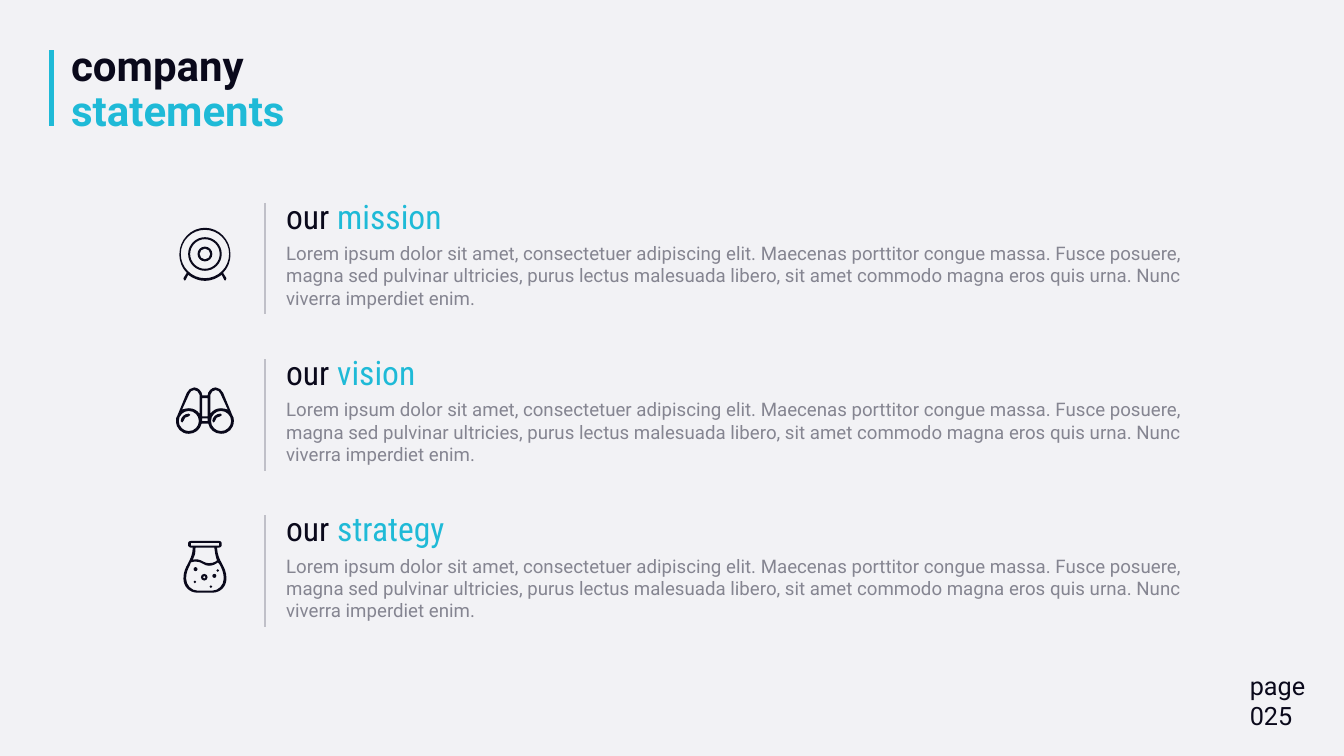
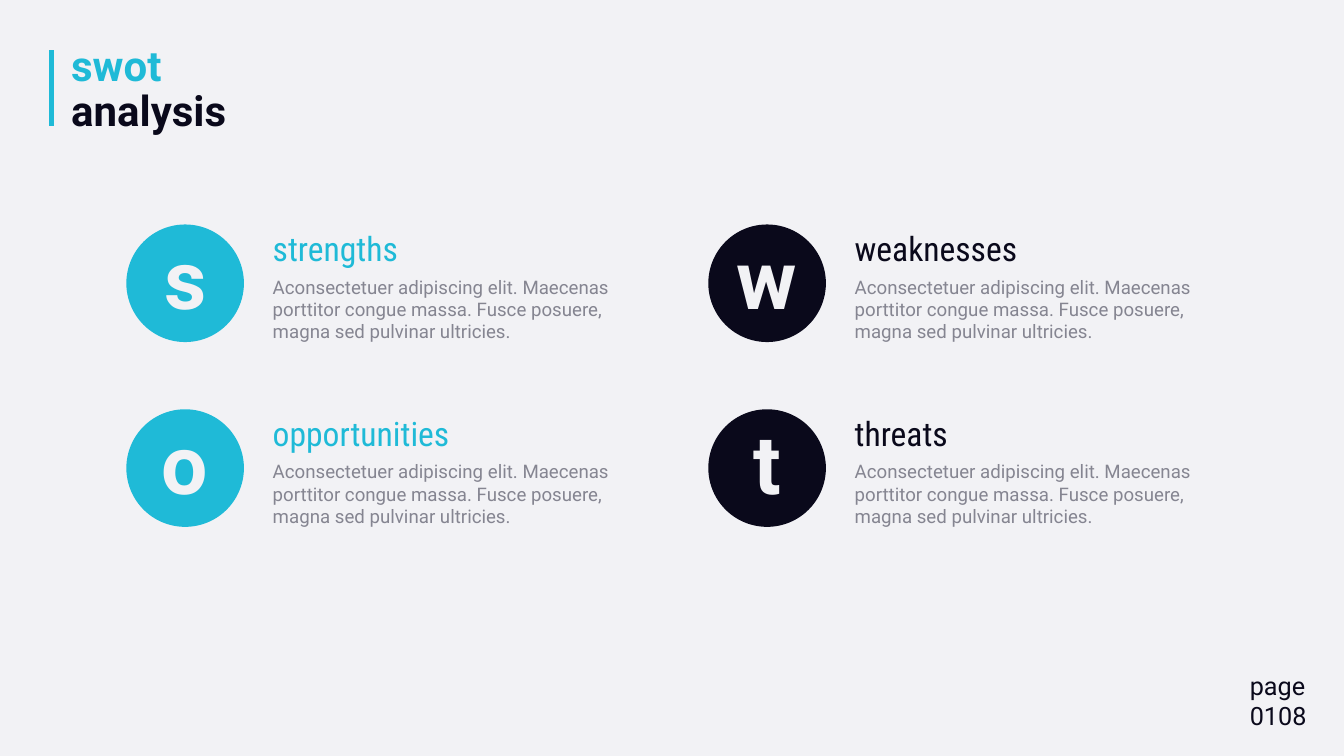
from dataclasses import dataclass

from lxml.etree import SubElement
from pptx import Presentation
from pptx.dml.color import RGBColor
from pptx.enum.shapes import MSO_CONNECTOR as Link, MSO_SHAPE as Form
from pptx.enum.text import MSO_AUTO_SIZE as Fit, PP_ALIGN as Align
from pptx.oxml.ns import qn
from pptx.util import Inches, Pt

PAPER, INK, CYAN = "F2F2F5", "0A091B", "1FBAD7"
GREY, RULE = "858591", "C0C0C8"
SANS, SLIM = "Roboto", "Roboto Condensed"
TOP, PITCH = 2.86, (7.51 - 2.86) / 2
DISC, GLYPH = 1.75, 1.5

Span = tuple[str, str]
Point = tuple[float, float]
Path = list[Point]
Box = tuple[float, float, float, float]


@dataclass(frozen=True)
class Goal:
    name: str
    icon: list[Path]


@dataclass(frozen=True)
class Part:
    name: str
    color: str
    col: int
    row: int


def trace(first: Point, *steps: tuple) -> Path:
    """List curve points: a pair is a straight step, six numbers a curve."""
    path = [first]
    for step in steps:
        path += [step] * 3 if len(step) == 2 else [
            step[:2], step[2:4], step[4:]]
    return path


def flip(path: Path) -> Path:
    """Mirror a path left to right and reverse its direction."""
    return [(-x, y) for x, y in reversed(path)]


def fold(half: Path) -> Path:
    """Complete a left half, drawn from middle to middle, with its mirror."""
    return half + flip(half)[1:]


def shift(path: Path, dx: float) -> Path:
    return [(x + dx, y) for x, y in path]


def ring(x: float, y: float, r: float) -> Path:
    k = 0.55 * r
    return trace((x, y - r), (x - k, y - r, x - r, y - k, x - r, y),
                 (x - r, y + k, x - k, y + r, x, y + r),
                 (x + k, y + r, x + r, y + k, x + r, y),
                 (x + r, y - k, x + k, y - r, x, y - r))


def slot(x: float, top: float, end: float) -> Path:
    return trace((-x, top), (x, top), (x, end), (-x, end), (-x, top))


STAND = trace((0, -0.39), (-0.21, -0.39, -0.38, -0.21, -0.38, 0),
              (-0.38, 0.12, -0.34, 0.21, -0.27, 0.28), (-0.32, 0.36),
              (-0.32, 0.39, -0.3, 0.41, -0.29, 0.39), (-0.25, 0.31),
              (-0.18, 0.36, -0.1, 0.4, 0, 0.4))
TARGET = [fold(STAND), *(ring(0, 0, r) for r in (0.36, 0.25, 0.22, 0.11, 0.08))]

BODY = trace((0, -0.22), (-0.04, -0.22), (-0.04, -0.28, -0.1, -0.34, -0.16, -0.34),
             (-0.21, -0.34, -0.25, -0.3, -0.27, -0.26), (-0.41, 0.08),
             (-0.43, 0.1, -0.43, 0.13, -0.43, 0.16),
             (-0.43, 0.27, -0.35, 0.35, -0.24, 0.35),
             (-0.15, 0.35, -0.07, 0.29, -0.05, 0.2), (0, 0.2))
TUBE = trace((-0.08, 0.05), (-0.12, 0, -0.17, -0.03, -0.24, -0.03),
             (-0.27, -0.03, -0.31, -0.02, -0.34, -0.01), (-0.23, -0.25),
             (-0.22, -0.28, -0.19, -0.3, -0.16, -0.3),
             (-0.12, -0.3, -0.09, -0.27, -0.08, -0.23), (-0.08, 0.05))
GLINT = trace((-0.24, 0.05), (-0.3, 0.05, -0.36, 0.1, -0.36, 0.16),
              (-0.36, 0.19, -0.32, 0.19, -0.32, 0.16),
              (-0.32, 0.12, -0.28, 0.09, -0.24, 0.09),
              (-0.21, 0.09, -0.21, 0.05, -0.24, 0.05))
SCOPE = [fold(BODY), TUBE, flip(TUBE), GLINT, shift(GLINT, 0.47),
         ring(-0.24, 0.16, 0.15), ring(0.24, 0.16, 0.15),
         slot(0.04, -0.18, 0.09), slot(0.04, 0.12, 0.16)]

GLASS = trace((0, -0.38), (-0.21, -0.38), (-0.23, -0.38, -0.25, -0.37, -0.25, -0.35),
              (-0.25, -0.31), (-0.25, -0.3, -0.23, -0.28, -0.21, -0.28),
              (-0.18, -0.28), (-0.19, -0.06, -0.32, -0.02, -0.32, 0.18),
              (-0.32, 0.3, -0.23, 0.39, -0.11, 0.39), (0, 0.39))
AIR = trace((-0.14, -0.28), (0.14, -0.28), (0.15, -0.2, 0.16, -0.14, 0.18, -0.09),
            (0.16, -0.07, 0.08, -0.02, -0.02, -0.07),
            (-0.08, -0.11, -0.14, -0.11, -0.18, -0.1),
            (-0.15, -0.15, -0.14, -0.2, -0.14, -0.28))
FLUID = trace((0.11, 0.36), (-0.11, 0.36), (-0.2, 0.36, -0.28, 0.28, -0.28, 0.18),
              (-0.28, 0.09, -0.25, 0.03, -0.22, -0.03),
              (-0.21, -0.04, -0.21, -0.04, -0.21, -0.06),
              (-0.2, -0.06, -0.13, -0.1, -0.03, -0.04),
              (0, -0.02, 0.03, -0.01, 0.06, -0.01),
              (0.12, -0.01, 0.17, -0.04, 0.19, -0.06),
              (0.2, -0.05, 0.21, -0.04, 0.22, -0.03),
              (0.25, 0.03, 0.28, 0.09, 0.28, 0.18),
              (0.28, 0.28, 0.2, 0.36, 0.11, 0.36))
DROPS = [(-0.15, 0.23, 0.02), (-0.14, 0.04, 0.03), (0.19, 0.06, 0.02),
         (0.14, 0.14, 0.03), (-0.01, 0.16, 0.05), (-0.01, 0.16, 0.02),
         (0.09, 0.3, 0.02)]
FLASK = [fold(GLASS), slot(0.21, -0.35, -0.31), AIR, FLUID,
         *(ring(*drop) for drop in DROPS)]

GOALS = [Goal("mission", TARGET), Goal("vision", SCOPE),
         Goal("strategy", FLASK)]
PARTS = [Part("strengths", CYAN, 0, 0), Part("weaknesses", INK, 1, 0),
         Part("opportunities", CYAN, 0, 1), Part("threats", INK, 1, 1)]

GOAL_TEXT = (
    "Lorem ipsum dolor sit amet, consectetuer adipiscing elit. Maecenas "
    "porttitor congue massa. Fusce posuere, magna sed pulvinar ultricies, "
    "purus lectus malesuada libero, sit amet commodo magna eros quis urna. "
    "Nunc viverra imperdiet enim.")
PART_TEXT = (
    "Aconsectetuer adipiscing elit. Maecenas porttitor congue massa. "
    "Fusce posuere, magna sed pulvinar ultricies.")


def rgb(code: str) -> RGBColor:
    return RGBColor.from_string(code)


def text(shapes, box: Box, *paras: list[Span], size: float, font: str = SANS,
         bold: bool = False, align=Align.LEFT, space: float = 1.0,
         grow: bool = True) -> None:
    """Add a text box; a span that ends in a newline breaks the line."""
    frame = shapes.add_textbox(*map(Inches, box)).text_frame
    frame.word_wrap = True
    frame.auto_size = Fit.SHAPE_TO_FIT_TEXT if grow else Fit.NONE
    for i, spans in enumerate(paras):
        para = frame.add_paragraph() if i else frame.paragraphs[0]
        para.alignment, para.line_spacing = align, space
        for words, color in spans:
            run = para.add_run()
            run.text = words.rstrip("\n")
            run.font.size, run.font.name = Pt(size), font
            run.font.bold = bold
            run.font.color.rgb = rgb(color)
            if words.endswith("\n"):
                para.add_line_break()


def paint(shape, color: str) -> None:
    shape.shadow.inherit = False
    shape.fill.solid()
    shape.fill.fore_color.rgb = rgb(color)
    shape.line.fill.background()


def bar(shapes, x: float, top: float, end: float, color: str,
        width: float) -> None:
    """Draw an upright line."""
    line = shapes.add_connector(Link.STRAIGHT, *map(Inches, (x, top, x, end)))
    line.line.color.rgb = rgb(color)
    line.line.width = Pt(width)
    SubElement(line._element.spPr, qn("a:effectLst"))


def bend(shape) -> None:
    """Turn each three line steps of a freeform into one cubic curve."""
    steps = list(shape._element.iter(qn("a:lnTo")))
    for first, *others in zip(steps[::3], steps[1::3], steps[2::3]):
        first.tag = qn("a:cubicBezTo")
        for step in others:
            first.append(step[0])
            step.getparent().remove(step)


def draw(shapes, icon: list[Path], x: float, y: float) -> None:
    pen = None
    for path in icon:
        first, *rest = [(Inches(x + dx), Inches(y + dy)) for dx, dy in path]
        if pen is None:
            pen = shapes.build_freeform(*first)
        else:
            pen.move_to(*first)
        pen.add_line_segments(rest, close=True)
    shape = pen.convert_to_shape()
    bend(shape)
    paint(shape, INK)


def start(deck, title: list[Span], page: str):
    """Add a slide with background, title, accent bar and page number."""
    slide = deck.slides.add_slide(deck.slide_layouts[6])
    slide.background.fill.solid()
    slide.background.fill.fore_color.rgb = rgb(PAPER)
    shapes = slide.shapes
    bar(shapes, 0.77, 0.75, 1.88, CYAN, 5)
    text(shapes, (0.96, 0.62, 5.96, 1.46), title, size=45, bold=True,
         space=0.9)
    text(shapes, (18.5, 9.92, 1.9, 1.04), [("page", INK)], [(page, INK)],
         size=27, grow=False)
    return shapes


def state(shapes, goal: Goal, top: float) -> None:
    group = shapes.add_group_shape().shapes
    text(group, (4.16, top, 8.3, 0.71), [("our ", INK), (goal.name, CYAN)],
         size=36, font=SLIM)
    text(group, (4.16, top + 0.69, 13.59, 1.11), [(GOAL_TEXT, GREY)], size=20)
    bar(group, 3.94, top + 0.16, top + 1.82, RULE, 2)
    draw(group, goal.icon, 3.05, top + 0.92)


def swot(shapes, part: Part) -> None:
    x, y = 1.88 + 8.66 * part.col, 3.34 + 2.75 * part.row
    group = shapes.add_group_shape().shapes
    text(group, (x + 2.08, y + 0.71, 5.71, 1.11), [(PART_TEXT, GREY)], size=20)
    text(group, (x + 2.08, y, 5.25, 0.71), [(part.name, part.color)],
         size=36, font=SLIM)
    disc = group.add_shape(Form.OVAL, *map(Inches, (x, y, DISC, DISC)))
    paint(disc, part.color)
    text(group, (x + (DISC - GLYPH) / 2, y, GLYPH, 1.58),
         [(part.name[0], PAPER)], size=88, bold=True, align=Align.CENTER)


def main() -> None:
    deck = Presentation()
    deck.slide_width, deck.slide_height = Inches(20), Inches(11.25)

    shapes = start(deck, [("company\n", INK), ("statements", CYAN)], "025")
    for i, goal in enumerate(GOALS):
        state(shapes, goal, TOP + PITCH * i)

    shapes = start(deck, [("swot\n", CYAN), ("analysis", INK)], "0108")
    for part in PARTS:
        swot(shapes, part)

    deck.save("out.pptx")


if __name__ == "__main__":
    main()
